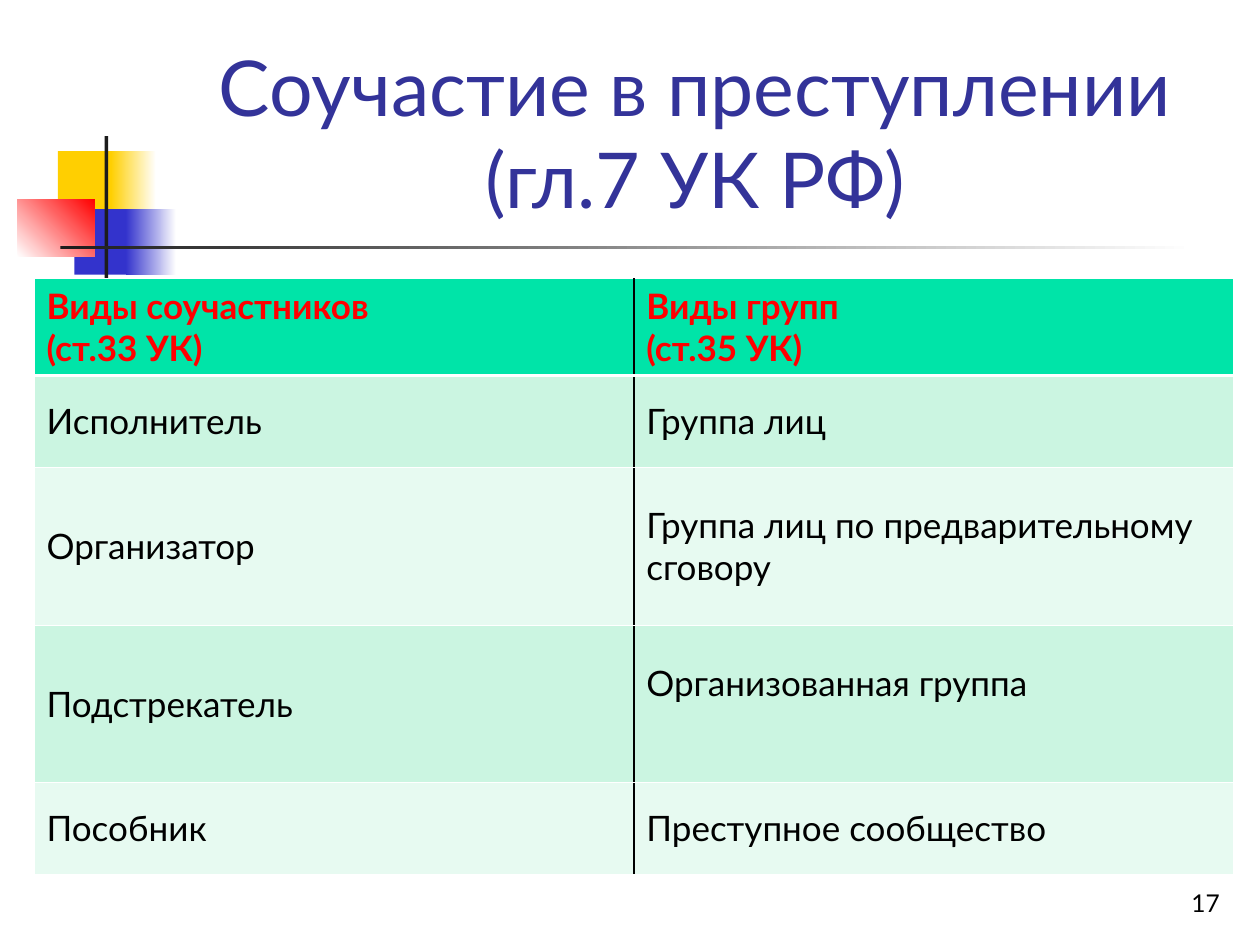
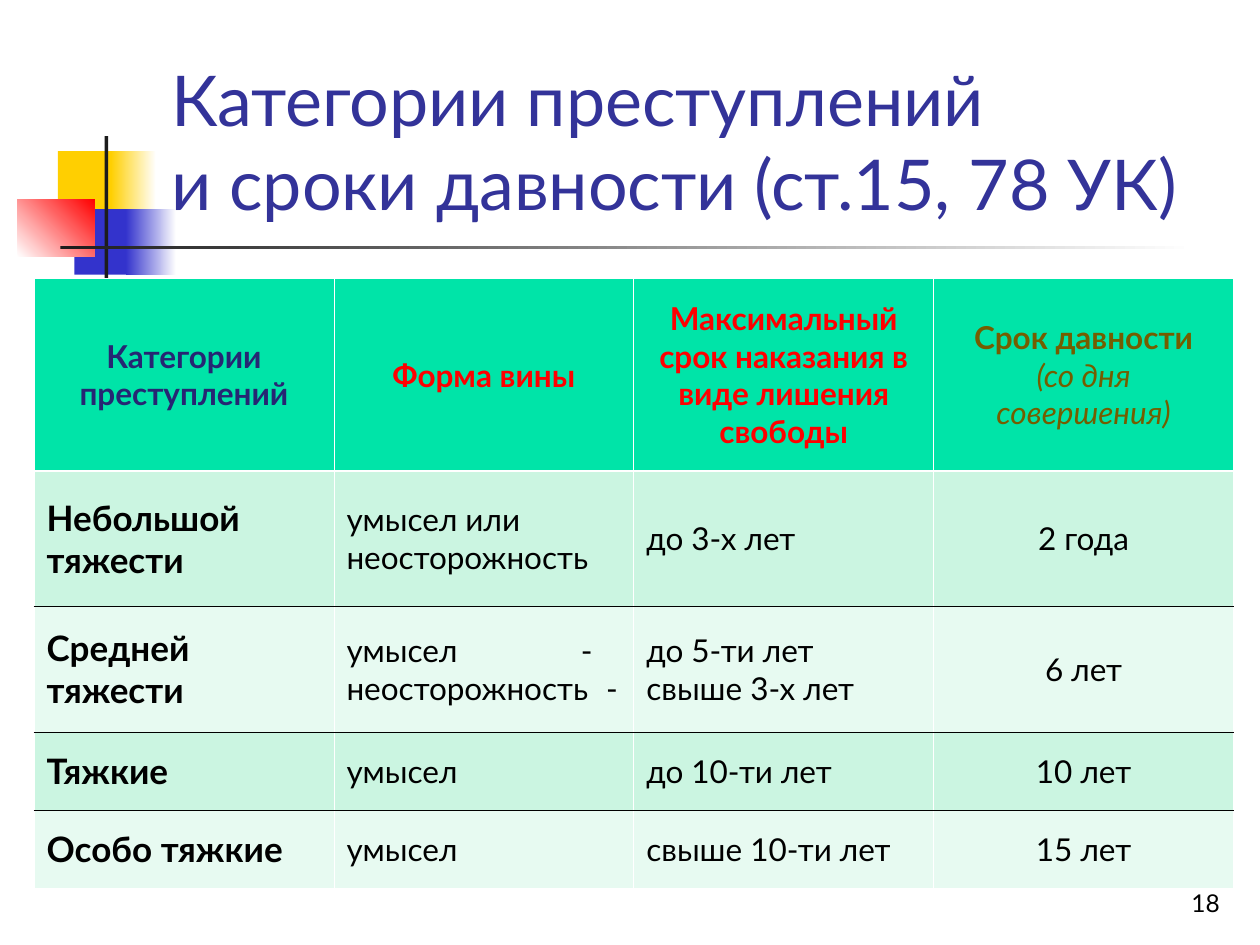
from dataclasses import dataclass, replace
from itertools import product

from lxml.etree import SubElement
from pptx import Presentation
from pptx.dml.color import RGBColor
from pptx.enum.shapes import MSO_SHAPE
from pptx.enum.text import MSO_ANCHOR, MSO_AUTO_SIZE, PP_ALIGN
from pptx.oxml import parse_xml
from pptx.oxml.ns import nsdecls, qn
from pptx.util import Emu, Pt

EMU_PER_PX = 9144
TITLE_ONLY = 5


@dataclass(frozen=True)
class Theme:
    """Colours, font and type sizes shared by the slides."""
    font: str = "Lato"
    black: str = "000000"
    white: str = "FFFFFF"
    title: str = "333399"
    red: str = "FF0000"
    navy: str = "262673"
    olive: str = "745D00"
    yellow: str = "FFCF01"
    blue: str = "3333CC"
    ink: str = "1C1C1C"
    header: str = "00E4A8"
    bands: tuple = ("CBF5E1", "E7FAF1")
    large_title: int = 44
    small_title: int = 40
    large_text: int = 20
    small_text: int = 18
    page_number: int = 14
    thin: float = 0.45
    thick: float = 1.47


THEME = Theme()


@dataclass(frozen=True)
class Style:
    """Look of a line of text."""
    size: int
    color: str = THEME.black
    bold: bool = False
    italic: bool = False
    align: PP_ALIGN = PP_ALIGN.LEFT


@dataclass(frozen=True)
class Line:
    """One paragraph with its style and an optional tab stop."""
    text: str
    style: Style
    tab: int = 0


@dataclass(frozen=True)
class Rule:
    """Colour and width of a table border."""
    color: str = THEME.white
    width: float = THEME.thin


def px(length):
    """Turn px into EMU."""
    return Emu(length * EMU_PER_PX)


def rgb(color):
    """Turn a hex string into a colour."""
    return RGBColor.from_string(color)


def place(shape, left, top, width, height):
    """Set position and size of a shape in px."""
    shape.left, shape.top = px(left), px(top)
    shape.width, shape.height = px(width), px(height)


def add_span(para, text, style):
    """Append a formatted run to a paragraph."""
    span = para.add_run()
    span.text = text
    font = span.font
    font.name, font.size = THEME.font, Pt(style.size)
    font.bold, font.italic = style.bold, style.italic
    font.color.rgb = rgb(style.color)


def write_lines(frame, lines):
    """Fill a text frame with one paragraph per line."""
    for index, line in enumerate(lines):
        para = frame.add_paragraph() if index else frame.paragraphs[0]
        para.alignment = line.style.align
        if line.tab:
            stops = SubElement(para._p.get_or_add_pPr(), qn("a:tabLst"))
            SubElement(stops, qn("a:tab"), pos=str(px(line.tab)), algn="l")
        add_span(para, line.text, line.style)


def add_bar(page, area, color, fade_to=None, angle=0):
    """Add a borderless rectangle with a solid or fading fill."""
    bar = page.shapes.add_shape(MSO_SHAPE.RECTANGLE, *map(px, area))
    bar.shadow.inherit = False
    bar.line.fill.background()
    if fade_to is None:
        bar.fill.solid()
        bar.fill.fore_color.rgb = rgb(color)
        return
    bar.fill.gradient()
    bar.fill.gradient_angle = angle
    for stop, shade in zip(bar.fill.gradient_stops, (color, fade_to)):
        stop.color.rgb = rgb(shade)


def add_ornament(page):
    """Add the coloured squares and crossing lines beside the title."""
    add_bar(page, (46, 120, 48, 52), THEME.yellow)
    add_bar(page, (88, 120, 36, 52), THEME.yellow, THEME.white)
    add_bar(page, (59, 166, 46, 52), THEME.blue)
    add_bar(page, (100, 166, 40, 52), THEME.blue, THEME.white)
    add_bar(page, (14, 158, 61, 46), THEME.white, THEME.red, 45)
    add_bar(page, (83, 108, 3, 115), THEME.ink)
    add_bar(page, (48, 195, 900, 3), THEME.ink, THEME.white)


def set_title(page, lines, size, align):
    """Format the title placeholder and bring it in front of the ornament."""
    title = page.shapes.title
    page.shapes.element.append(title.element)
    place(title, 126, 23, 852, 160)
    frame = title.text_frame
    frame.word_wrap = True
    frame.auto_size = MSO_AUTO_SIZE.NONE
    frame.vertical_anchor = MSO_ANCHOR.BOTTOM
    para = frame.paragraphs[0]
    para.alignment = align
    for index, text in enumerate(lines):
        if index:
            para.add_line_break()
        add_span(para, text, Style(size, THEME.title))


def add_page_number(page, number):
    """Add the page number at the lower right."""
    box = page.shapes.add_textbox(*map(px, (770, 683, 208, 50)))
    frame = box.text_frame
    frame.word_wrap = True
    frame.vertical_anchor = MSO_ANCHOR.BOTTOM
    style = Style(THEME.page_number, align=PP_ALIGN.RIGHT)
    write_lines(frame, [Line(str(number), style)])


def set_borders(cell, left, right, top, bottom):
    """Draw the four borders of a cell."""
    properties = cell._tc.get_or_add_tcPr()
    sides = zip("LRTB", (left, right, top, bottom))
    for index, (side, rule) in enumerate(sides):
        border = parse_xml(
            f'<a:ln{side} {nsdecls("a")} w="{Pt(rule.width)}"><a:solidFill>'
            f'<a:srgbClr val="{rule.color}"/></a:solidFill></a:ln{side}>')
        properties.insert(index, border)


def add_banded_table(page, rows, heights, column_rule, row_rule):
    """Add a full-width table with a header, banded rows and ruled cells."""
    row_count, column_count = len(rows), len(rows[0])
    width = 952
    frame = page.shapes.add_table(
        row_count, column_count, px(27), px(221), px(width), px(sum(heights)))
    table = frame.table
    table.first_row = table.horz_banding = False
    for column in table.columns:
        column.width = px(width // column_count)
    for row, height in zip(table.rows, heights):
        row.height = px(height)
    edge, under_header = Rule(), Rule(width=THEME.thick)
    verticals = [edge] + [column_rule] * (column_count - 1) + [edge]
    horizontals = [edge, under_header] + [row_rule] * (row_count - 2) + [edge]
    for r, c in product(range(row_count), range(column_count)):
        cell = table.cell(r, c)
        cell.vertical_anchor = MSO_ANCHOR.MIDDLE
        cell.fill.solid()
        cell.fill.fore_color.rgb = rgb(THEME.bands[(r - 1) % 2] if r else THEME.header)
        set_borders(cell, *verticals[c:c + 2], *horizontals[r:r + 2])
        write_lines(cell.text_frame, rows[r][c])
    return table


def add_page(deck, number, title, size, align):
    """Add a slide with ornament, title and page number."""
    page = deck.slides.add_slide(deck.slide_layouts[TITLE_ONLY])
    add_ornament(page)
    set_title(page, title, size, align)
    add_page_number(page, number)
    return page


def add_complicity_page(deck):
    """Build the slide on kinds of accomplices and groups."""
    page = add_page(deck, 17, ("Соучастие в преступлении", "(гл.7 УК РФ)"),
                    THEME.large_title, PP_ALIGN.CENTER)
    head = Style(THEME.large_text, THEME.red, bold=True)
    body = Style(THEME.large_text)
    headings = (("Виды соучастников", "(ст.33 УК)"), ("Виды групп", "(ст.35 УК)"))
    pairs = (
        ("Исполнитель", "Группа лиц"),
        ("Организатор", "Группа лиц по предварительному сговору"),
        ("Подстрекатель", "Организованная группа"),
        ("Пособник", "Преступное сообщество"),
    )
    rows = [[[Line(text, head) for text in heading] for heading in headings]]
    rows += [[[Line(text, body)] for text in pair] for pair in pairs]
    table = add_banded_table(page, rows, (77, 73, 125, 125, 73),
                             Rule(THEME.black, THEME.thick), Rule())
    table.cell(3, 1).margin_bottom = px(38)


def add_categories_page(deck):
    """Build the slide on crime categories and limitation periods."""
    page = add_page(deck, 18, ("Категории преступлений", "и сроки давности (ст.15, 78 УК)"),
                    THEME.small_title, PP_ALIGN.LEFT)
    head = Style(THEME.small_text, THEME.red, bold=True, align=PP_ALIGN.CENTER)
    period_head = replace(head, color=THEME.olive)
    category = Style(THEME.large_text, bold=True)
    body = Style(THEME.small_text)
    period = replace(body, align=PP_ALIGN.CENTER)
    headings = [
        [Line("Категории преступлений", replace(head, color=THEME.navy))],
        [Line("Форма вины", head)],
        [Line("Максимальный срок наказания в виде лишения свободы", head)],
        [Line("Срок давности", period_head),
         Line("(со дня совершения)", replace(period_head, bold=False, italic=True))],
    ]
    both_guilts = [Line("умысел\t-", body, 186), Line("неосторожность\t-", body, 206)]
    intent = [Line("умысел", body)]
    records = (
        ("Небольшой тяжести", [Line("умысел или неосторожность", body)],
         ("до 3-х лет",), "2 года"),
        ("Средней тяжести", both_guilts, ("до 5-ти лет", "свыше 3-х лет"), "6 лет"),
        ("Тяжкие", intent, ("до 10-ти лет",), "10 лет"),
        ("Особо тяжкие", intent, ("свыше 10-ти лет",), "15 лет"),
    )
    rows = [headings]
    for name, guilt, terms, limitation in records:
        rows.append([[Line(name, category)], guilt,
                     [Line(term, body) for term in terms],
                     [Line(limitation, period)]])
    add_banded_table(page, rows, (153, 107, 100, 62, 62), Rule(), Rule(THEME.black))


def main():
    """Build and save the deck."""
    deck = Presentation()
    deck.slide_width, deck.slide_height = px(1000), px(750)
    add_complicity_page(deck)
    add_categories_page(deck)
    deck.save("out.pptx")


if __name__ == "__main__":
    main()
